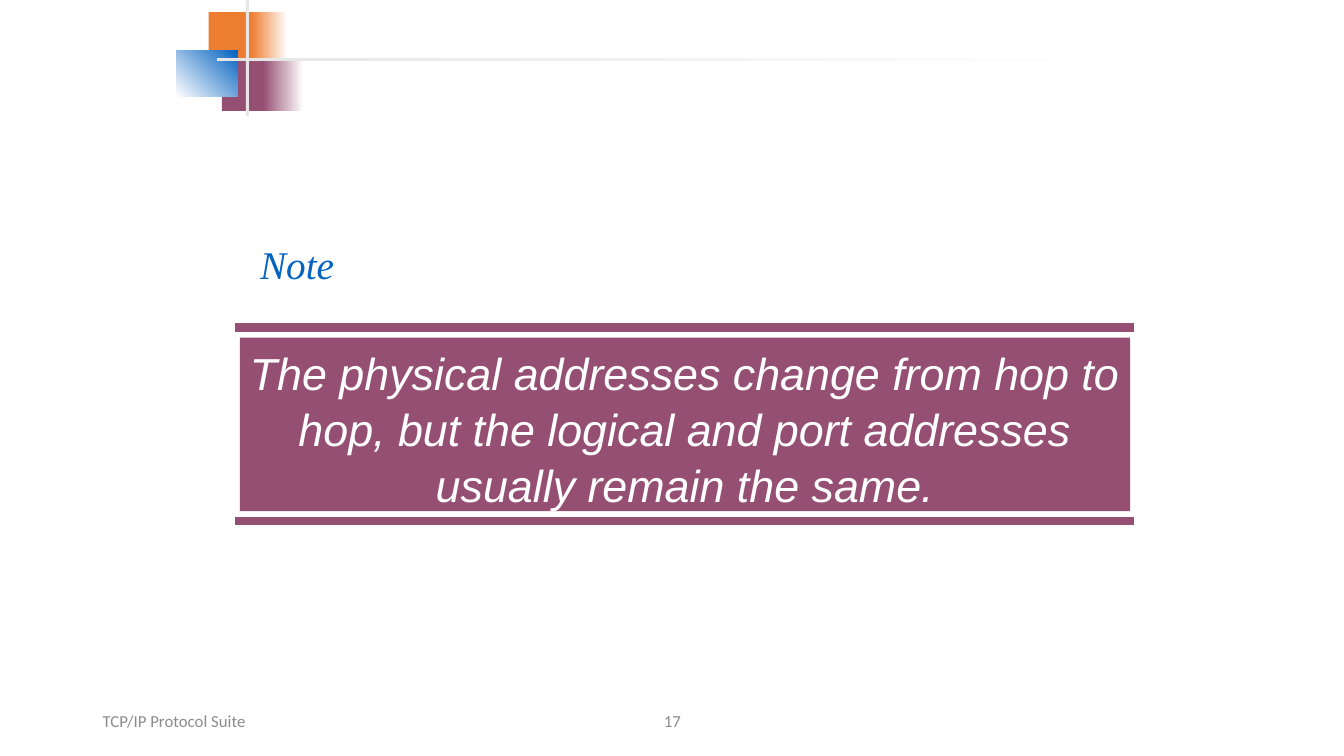
"""Build the note slide on physical, logical and port addresses."""
from typing import NamedTuple, Optional

from lxml.etree import SubElement
from pptx import Presentation
from pptx.dml.color import RGBColor
from pptx.enum.shapes import MSO_CONNECTOR, MSO_SHAPE
from pptx.enum.text import MSO_ANCHOR, MSO_AUTO_SIZE, PP_ALIGN
from pptx.oxml.ns import qn
from pptx.shapes.autoshape import Shape
from pptx.slide import Slide
from pptx.util import Emu, Pt

EMU_PER_PX = 9144
COLORS = {
    "orange": "ED7D31",
    "plum": "954F72",
    "blue": "0563C1",
    "silver": "E7E6E6",
    "gray": "8C8C8C",
    "white": "FFFFFF",
}


class Box(NamedTuple):
    left: int
    top: int
    width: int
    height: int


class Block(NamedTuple):
    box: Box
    color: str
    end_color: Optional[str] = None
    angle: int = 0


class Footer(NamedTuple):
    box: Box
    text: str
    align: PP_ALIGN


BLOCKS = [
    Block(Box(207, 12, 48, 52), "orange"),
    Block(Box(249, 12, 36, 52), "orange", "white"),
    Block(Box(220, 58, 46, 52), "plum"),
    Block(Box(261, 58, 40, 52), "plum", "white"),
    Block(Box(175, 50, 61, 46), "white", "blue", 45),
    Block(Box(244, 0, 3, 115), "silver"),
    Block(Box(215, 58, 900, 3), "silver", "white"),
]
FOOTERS = [
    Footer(Box(92, 695, 300, 40), "TCP/IP Protocol Suite", PP_ALIGN.LEFT),
    Footer(Box(442, 695, 450, 40), "17", PP_ALIGN.CENTER),
]
RULE_LEFT, RULE_RIGHT = 233, 1125
RULE_TOPS = (325, 517)
BANNER = Block(Box(238, 335, 883, 172), "plum")
NOTE_BOX = Box(248, 233, 96, 57)
MESSAGE = ("The physical addresses change from hop to hop, but the logical "
           "and port addresses usually remain the same.")


def px(length: int) -> Emu:
    """Turn px into EMU."""
    return Emu(length * EMU_PER_PX)


def rgb(name: str) -> RGBColor:
    """Look up a named colour."""
    return RGBColor.from_string(COLORS[name])


def write_text(shape: Shape, text: str, *, size: int, font: str, color: str,
               align: PP_ALIGN = PP_ALIGN.LEFT, italic: bool = False,
               anchor: MSO_ANCHOR = MSO_ANCHOR.TOP, wrap: bool = True,
               line_spacing: float = 1.0) -> None:
    """Fill a shape with one formatted paragraph."""
    frame = shape.text_frame
    frame.text = text
    frame.word_wrap = wrap
    frame.auto_size = MSO_AUTO_SIZE.NONE
    frame.vertical_anchor = anchor
    paragraph = frame.paragraphs[0]
    paragraph.alignment = align
    paragraph.line_spacing = line_spacing
    paragraph.font.size = Pt(size)
    paragraph.font.name = font
    paragraph.font.italic = italic
    paragraph.font.color.rgb = rgb(color)


def add_block(slide: Slide, block: Block) -> Shape:
    """Draw a borderless rectangle with a solid or gradient fill."""
    shape = slide.shapes.add_shape(MSO_SHAPE.RECTANGLE, *map(px, block.box))
    shape.shadow.inherit = False
    shape.line.fill.background()
    if block.end_color is None:
        shape.fill.solid()
        shape.fill.fore_color.rgb = rgb(block.color)
    else:
        shape.fill.gradient()
        shape.fill.gradient_angle = block.angle
        stops = zip(shape.fill.gradient_stops, (block.color, block.end_color))
        for position, (stop, color) in enumerate(stops):
            stop.position = position
            stop.color.rgb = rgb(color)
    return shape


def add_rule(slide: Slide, top: int) -> None:
    """Draw a thick horizontal rule beside the banner."""
    rule = slide.shapes.add_connector(MSO_CONNECTOR.STRAIGHT, px(RULE_LEFT),
                                      px(top), px(RULE_RIGHT), px(top))
    rule.line.color.rgb = rgb("plum")
    rule.line.width = Pt(6)
    SubElement(rule._element.spPr, qn("a:effectLst"))


def add_footer(slide: Slide, footer: Footer) -> None:
    """Write one footer entry."""
    shape = slide.shapes.add_textbox(*map(px, footer.box))
    write_text(shape, footer.text, size=12, font="Calibri", color="gray",
               align=footer.align, anchor=MSO_ANCHOR.MIDDLE)


def main() -> None:
    """Build and save the slide."""
    presentation = Presentation()
    presentation.slide_width = px(1333)
    presentation.slide_height = px(750)
    slide = presentation.slides.add_slide(presentation.slide_layouts[5])

    title = slide.shapes.title
    title.left, title.top, title.width, title.height = map(px, NOTE_BOX)
    write_text(title, "Note", size=28, font="Times New Roman", color="blue",
               italic=True, wrap=False)

    for footer in FOOTERS:
        add_footer(slide, footer)
    for block in BLOCKS:
        add_block(slide, block)
    for top in RULE_TOPS:
        add_rule(slide, top)

    banner = add_block(slide, BANNER)
    banner.text_frame.margin_left = banner.text_frame.margin_right = px(8)
    write_text(banner, MESSAGE, size=32, font="Arial", color="white",
               align=PP_ALIGN.CENTER, italic=True, line_spacing=1.05)

    presentation.save("out.pptx")


if __name__ == "__main__":
    main()
